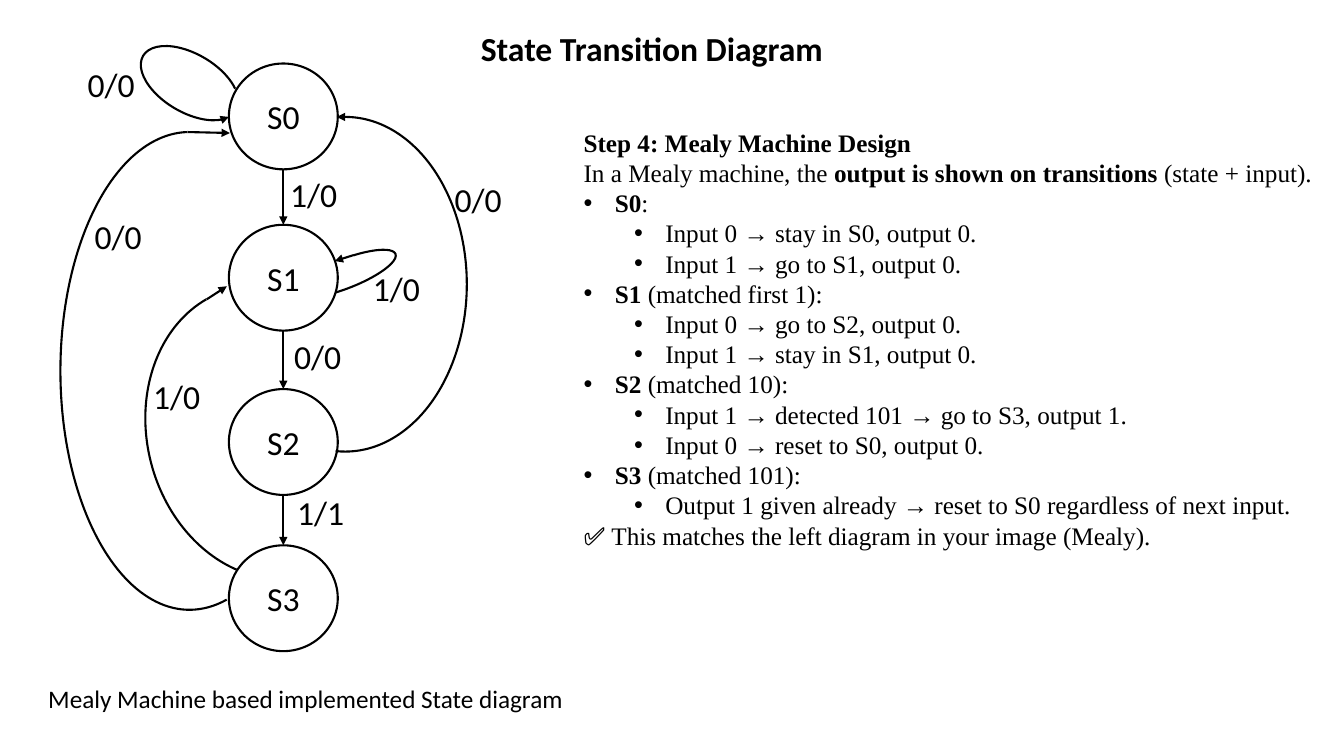
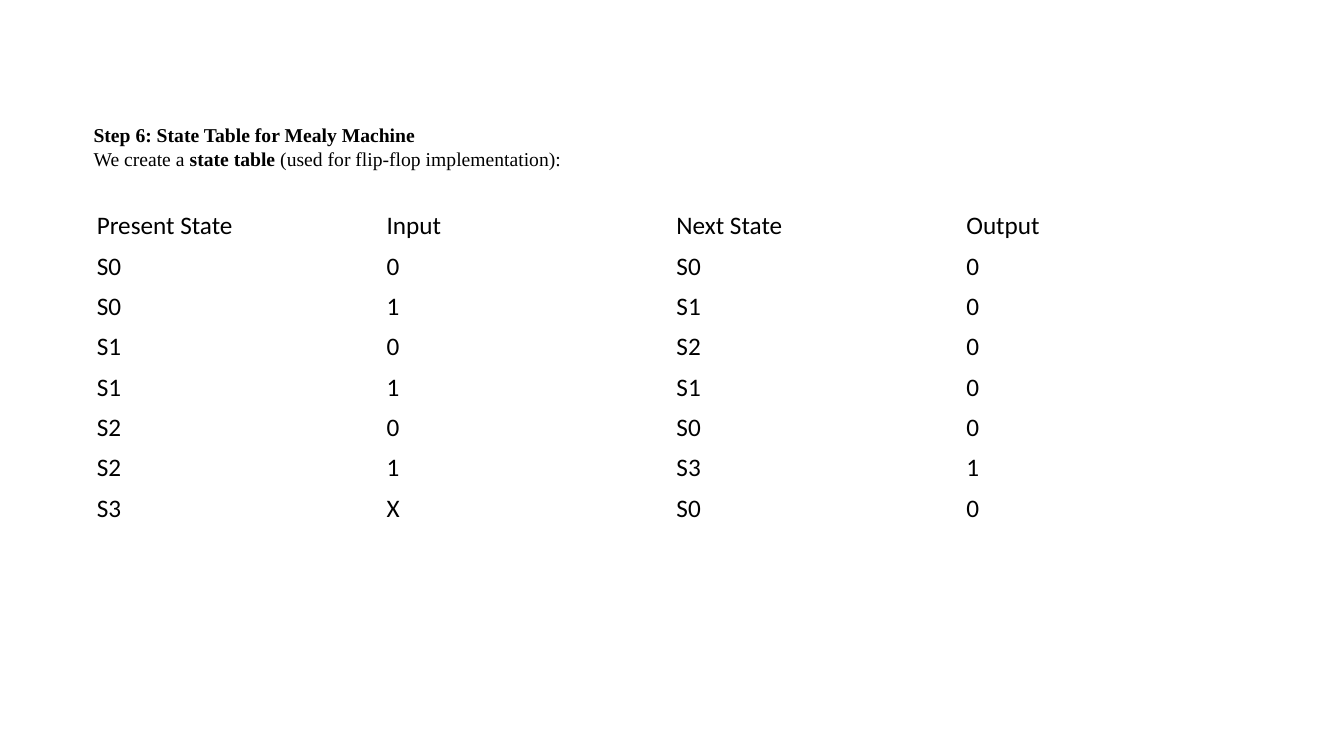
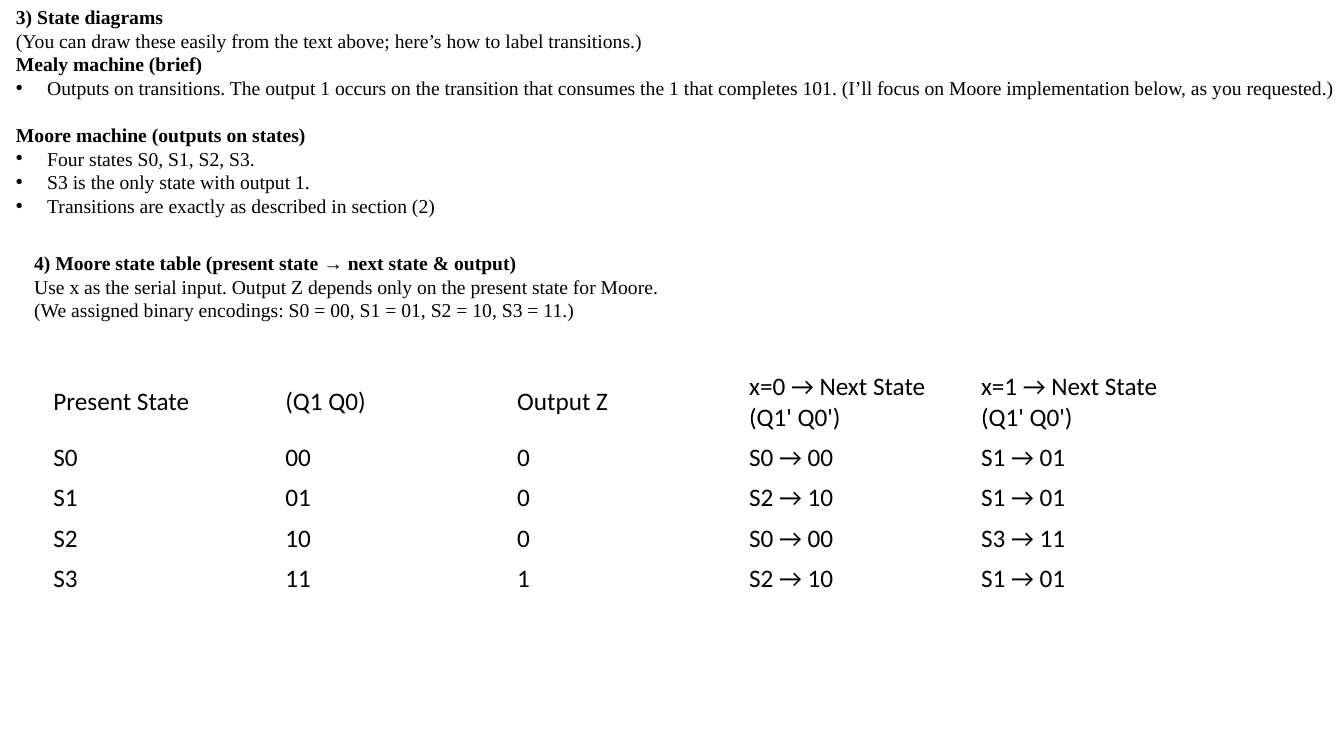
import dataclasses
import itertools

import lxml.etree
import pptx
import pptx.dml.color
import pptx.enum.shapes
import pptx.enum.text
import pptx.oxml.ns
import pptx.util


@dataclasses.dataclass(frozen=True)
class Theme:
    ink: pptx.dml.color.RGBColor = pptx.dml.color.RGBColor(0, 0, 0)
    sans: str = "Calibri"
    serif: str = "Times New Roman"
    label: int = 24
    body: int = 18
    note: int = 14
    stroke: float = 1.5
    bullet_hang: float = 0.31
    level_step: float = 0.5


CELL = pptx.util.Inches(0.1)
COLUMNS, ROWS = 133.3, 75
SHAPES = pptx.enum.shapes.MSO_SHAPE


def cells(*counts):
    return [round(count * CELL) for count in counts]


def apply(target, values):
    for name, value in values.items():
        setattr(target, name, value)


def add_xml(parent, tag, **attributes):
    return lxml.etree.SubElement(parent, pptx.oxml.ns.qn(tag), attributes)


class SlideBuilder:
    def __init__(self, theme):
        self.theme = theme
        self.deck = pptx.Presentation()
        width, height = cells(COLUMNS, ROWS)
        apply(self.deck, {"slide_width": width, "slide_height": height})
        self.page = None

    def new_page(self):
        self.page = self.deck.slides.add_slide(self.deck.slide_layouts[6])

    def add_spans(self, para, text, font, size):
        for position, part in enumerate(text.split("**")):
            if part:
                span = para.add_run()
                span.text = part
                apply(span.font, {"name": font, "size": pptx.util.Pt(size), "bold": position % 2 == 1})
                span.font.color.rgb = self.theme.ink

    def bullet(self, para, level):
        para.level = level
        properties = para._p.get_or_add_pPr()
        margin = self.theme.bullet_hang + level * self.theme.level_step
        properties.set("marL", str(pptx.util.Inches(margin)))
        properties.set("indent", str(-pptx.util.Inches(self.theme.bullet_hang)))
        add_xml(properties, "a:buFont", typeface="Arial")
        add_xml(properties, "a:buChar", char="•")

    def text(self, left, top, width, height, lines, font, size, align=None):
        box = self.page.shapes.add_textbox(*cells(left, top, width, height))
        apply(box.text_frame, {"word_wrap": True, "margin_right": 0})
        for number, (level, text, *gap) in enumerate(lines):
            para = box.text_frame.paragraphs[0] if number == 0 else box.text_frame.add_paragraph()
            para.alignment = align
            if gap:
                para.space_before = pptx.util.Pt(gap[0])
            if level is not None:
                self.bullet(para, level)
            self.add_spans(para, text, font, size)

    def label(self, left, top, width, text, size=None):
        size = size or self.theme.label
        self.text(left, top, width, size / 5, [(None, text)], self.theme.sans, size)

    def outline(self, kind, left, top, width, height):
        shape = self.page.shapes.add_shape(kind, *cells(left, top, width, height))
        shape.shadow.inherit = False
        shape.fill.background()
        self.stroke(shape.line)
        return shape

    def stroke(self, line):
        line.color.rgb = self.theme.ink
        line.width = pptx.util.Pt(self.theme.stroke)

    def state(self, left, top, width, height, name):
        circle = self.outline(SHAPES.OVAL, left, top, width, height)
        frame = circle.text_frame
        apply(frame, {f"margin_{side}": 0 for side in ("left", "top", "right", "bottom")})
        frame.vertical_anchor = pptx.enum.text.MSO_ANCHOR.MIDDLE
        frame.paragraphs[0].alignment = pptx.enum.text.PP_ALIGN.CENTER
        self.add_spans(frame.paragraphs[0], name, self.theme.sans, self.theme.label)
        return circle

    def arc(self, left, top, width, height, start, end, rotation=0):
        curve = self.outline(SHAPES.ARC, left, top, width, height)
        for number, degrees in enumerate((start, end)):
            curve.adjustments[number] = degrees * 0.6
        curve.rotation = rotation

    def arrow(self, *ends):
        arrow = self.page.shapes.add_connector(pptx.enum.shapes.MSO_CONNECTOR.STRAIGHT, *cells(*ends))
        self.stroke(arrow.line)
        properties = arrow.element.spPr
        add_xml(properties.find(pptx.oxml.ns.qn("a:ln")), "a:tailEnd", type="triangle")
        add_xml(properties, "a:effectLst")
        return arrow

    def table(self, left, top, column, heights, records):
        count = len(records[0])
        frame = self.page.shapes.add_table(
            len(records), count, *cells(left, top, column * count, sum(heights)))
        table = frame.table
        apply(table, {"first_row": False, "horz_banding": False})
        for row, height, record in zip(table.rows, heights, records):
            row.height = cells(height)[0]
            for cell, text in zip(row.cells, record):
                cell.fill.background()
                cell.vertical_anchor = pptx.enum.text.MSO_ANCHOR.MIDDLE
                self.add_spans(cell.text_frame.paragraphs[0], text, self.theme.sans, self.theme.body)


def state_diagram(builder):
    theme = builder.theme
    builder.new_page()
    left, width, height = 22.7, 10.8, 10.5
    tops = [6.3, 22.3, 38.6, 54.1]
    states = [builder.state(left, top, width, height, f"S{number}") for number, top in enumerate(tops)]
    center = left + width / 2
    for (top, below), target in zip(itertools.pairwise(tops), states[1:]):
        builder.arrow(center, top + height, center, below).end_connect(target, 0)
    for curve in [
        (32.8, 21.8, 2.9, 10.7, 45.67, 229.64, 248.6),
        (22.2, 11.6, 24.1, 33.2, 270, 93.29),
        (6, 13.1, 25.6, 47.4, 80.76, 269.49),
        (15.9, 2.9, 5.8, 10.7, 286.51, 246.58, 120.4),
        (14.6, 28.2, 24.1, 29.4, 117.62, 259.4, 345.5),
    ]:
        builder.arc(*curve)
    for ends in [
        (21.9, 11.9, 22.7, 11.6),
        (34.3, 11.6, 33.4, 11.6),
        (18.6, 13.1, 22.8, 13.2),
        (35.1, 25.3, 33.2, 25.9),
        (20.5, 29.7, 22.5, 28.4),
    ]:
        builder.arrow(*ends)
    for left, top, text in [
        (7.7, 5.8, "0/0"), (28.2, 32.8, "0/0"), (28.5, 48.3, "1/1"),
        (27.8, 16.8, "1/0"), (44.1, 17.3, "0/0"), (8.4, 20.9, "0/0"),
        (36, 26.1, "1/0"), (14.2, 36.8, "1/0"),
    ]:
        builder.label(left, top, 7.6, text)
    builder.label(46.7, 2.3, 39.9, "**State Transition Diagram**")
    builder.label(3.8, 67.3, 53.9, "Mealy Machine based implemented State diagram", theme.body)
    builder.text(56.9, 12.1, 75, 43.4, [
        (None, "**Step 4: Mealy Machine Design**"),
        (None, "In a Mealy machine, the **output is shown on transitions** (state + input)."),
        (0, "**S0**:"),
        (1, "Input 0 → stay in S0, output 0."),
        (1, "Input 1 → go to S1, output 0."),
        (0, "**S1** (matched first 1):"),
        (1, "Input 0 → go to S2, output 0."),
        (1, "Input 1 → stay in S1, output 0."),
        (0, "**S2** (matched 10):"),
        (1, "Input 1 → detected 101 → go to S3, output 1."),
        (1, "Input 0 → reset to S0, output 0."),
        (0, "**S3** (matched 101):"),
        (1, "Output 1 given already → reset to S0 regardless of next input."),
        (None, "✅ This matches the left diagram in your image (Mealy)."),
    ], theme.serif, theme.body, pptx.enum.text.PP_ALIGN.JUSTIFY)


def mealy_table(builder):
    builder.new_page()
    builder.text(8.3, 11.7, 55, 8.1, [
        (None, "**Step 6: State Table for Mealy Machine**"),
        (None, "We create a **state table** (used for flip-flop implementation):"),
    ], builder.theme.serif, builder.theme.note)
    records = [
        ("Present State", "Input", "Next State", "Output"),
        ("S0", "0", "S0", "0"),
        ("S0", "1", "S1", "0"),
        ("S1", "0", "S2", "0"),
        ("S1", "1", "S1", "0"),
        ("S2", "0", "S0", "0"),
        ("S2", "1", "S3", "1"),
        ("S3", "X", "S0", "0"),
    ]
    builder.table(8.6, 20.4, 28.75, [4] * len(records), records)


def moore_table(builder):
    theme = builder.theme
    builder.new_page()
    builder.text(0.6, 0, 132.7, 24.4, [
        (None, "**3) State diagrams**"),
        (None, "(You can draw these easily from the text above; here’s how to label transitions.)"),
        (None, "**Mealy machine (brief)**"),
        (0, "Outputs on transitions. The output 1 occurs on the transition that consumes the 1 that "
            "completes 101. (I’ll focus on Moore implementation below, as you requested.)"),
        (None, "**Moore machine (outputs on states)**", 17),
        (0, "Four states S0, S1, S2, S3."),
        (0, "S3 is the only state with output 1."),
        (0, "Transitions are exactly as described in section (2)"),
    ], theme.serif, theme.note)
    builder.text(2.4, 24.4, 70, 8.1, [
        (None, "**4) Moore state table (present state → next state & output)**"),
        (None, "Use x as the serial input. Output Z depends only on the present state for Moore."),
        (None, "(We assigned binary encodings: S0 = 00, S1 = 01, S2 = 10, S3 = 11.)"),
    ], theme.serif, theme.note)
    builder.table(4.3, 36.4, 23, [7] + [4] * 4, [
        ("Present State", "(Q1 Q0)", "Output Z", "x=0 → Next State (Q1' Q0')", "x=1 → Next State (Q1' Q0')"),
        ("S0", "00", "0", "S0 → 00", "S1 → 01"),
        ("S1", "01", "0", "S2 → 10", "S1 → 01"),
        ("S2", "10", "0", "S0 → 00", "S3 → 11"),
        ("S3", "11", "1", "S2 → 10", "S1 → 01"),
    ])


def main():
    builder = SlideBuilder(Theme())
    for build in (state_diagram, mealy_table, moore_table):
        build(builder)
    builder.deck.save("out.pptx")


if __name__ == "__main__":
    main()
